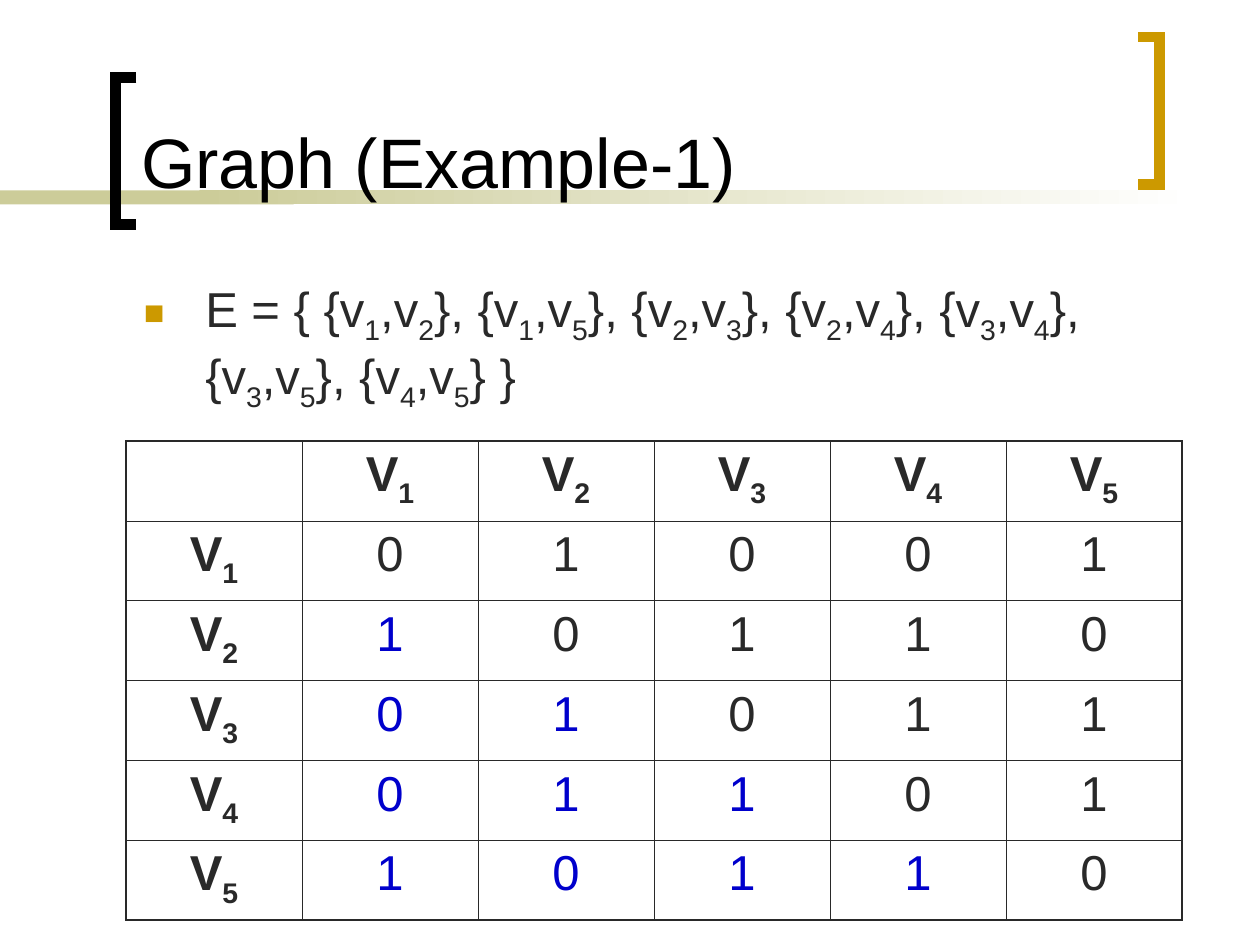
from itertools import groupby

from lxml.etree import SubElement
from pptx import Presentation
from pptx.dml.color import RGBColor
from pptx.enum.shapes import MSO_SHAPE
from pptx.enum.text import MSO_ANCHOR, MSO_AUTO_SIZE, PP_ALIGN
from pptx.oxml.ns import qn
from pptx.util import Cm, Pt

FONT = "Arial"
HUES = {
    "title": "000000",
    "text": "292929",
    "lower": "0000CC",
    "gold": "CC9900",
    "band": "CCCC99",
    "paper": "FFFFFF",
}
COUNT = 5
EDGES = [(1, 2), (1, 5), (2, 3), (2, 4), (3, 4), (3, 5), (4, 5)]
THIN, THICK = Pt(0.45), Pt(1.08)


def hue(name):
    return RGBColor.from_string(HUES[name])


def style(run, size=28, color="text", bold=False):
    font = run.font
    font.name, font.size, font.bold = FONT, Pt(size), bold
    font.color.rgb = hue(color)


def add_math(para, text, bold=False):
    """Write text with every digit as a subscript."""
    for low, chars in groupby(text, str.isdigit):
        run = para.add_run()
        run.text = "".join(chars)
        style(run, bold=bold)
        if low:
            run.font._element.set("baseline", "-25000")


def add_band(slide, left, top, width, height, fade=False):
    band = slide.shapes.add_shape(MSO_SHAPE.RECTANGLE, left, top, width, height)
    band.shadow.inherit = False
    band.line.fill.background()
    if fade:
        band.fill.gradient()
        band.fill.gradient_angle = 0
        for stop, name in zip(band.fill.gradient_stops, ("band", "paper")):
            stop.color.rgb = hue(name)
    else:
        band.fill.solid()
        band.fill.fore_color.rgb = hue("band")


def add_bracket(slide, left, top, width, height, color, opens):
    right, base = left + width, top + height
    tip, back = (right, left) if opens else (left, right)
    path = slide.shapes.build_freeform(tip, top, scale=1.0)
    path.add_line_segments([(back, top), (back, base), (tip, base)], close=False)
    mark = path.convert_to_shape()
    mark.shadow.inherit = False
    mark.fill.background()
    mark.line.width = Pt(6)
    mark.line.color.rgb = hue(color)
    SubElement(mark.line._ln, qn("a:miter"), lim="800000")


def add_title(slide, left, top, width, height):
    title = slide.shapes.title
    title.left, title.top, title.width, title.height = left, top, width, height
    frame = title.text_frame
    frame.text = "Graph (Example-1)"
    frame.auto_size = MSO_AUTO_SIZE.NONE
    frame.vertical_anchor = MSO_ANCHOR.BOTTOM
    para = frame.paragraphs[0]
    para.alignment = PP_ALIGN.LEFT
    style(para.runs[0], 40, "title")
    # The title stands in front of the band
    title.element.getparent().append(title.element)


def add_edges(slide, left, top, width, height):
    frame = slide.shapes.add_textbox(left, top, width, height).text_frame
    frame.word_wrap = True
    para = frame.paragraphs[0]
    para.space_before = Pt(7)
    pairs = ", ".join(f"{{v{a},v{b}}}" for a, b in EDGES)
    add_math(para, f"E = {{ {pairs} }}")

    # Square bullet with a hanging indent
    props = para._p.get_or_add_pPr()
    props.set("marL", str(Cm(1.24)))
    props.set("indent", str(Cm(-1.24)))
    tint = SubElement(props, qn("a:buClr"))
    SubElement(tint, qn("a:srgbClr"), val=HUES["gold"])
    SubElement(props, qn("a:buSzPct"), val="70000")
    SubElement(props, qn("a:buFont"), typeface=FONT)
    SubElement(props, qn("a:buChar"), char="■")


def add_borders(cell, row, col):
    props = cell._tc.get_or_add_tcPr()
    outer = {"L": col == 0, "R": col == COUNT, "T": row == 0, "B": row == COUNT}
    for side, edge in outer.items():
        line = SubElement(props, qn(f"a:ln{side}"), w=str(THICK if edge else THIN))
        fill = SubElement(line, qn("a:solidFill"))
        SubElement(fill, qn("a:srgbClr"), val=HUES["text"])


def add_matrix(slide, left, top, width, height):
    size = COUNT + 1
    table = slide.shapes.add_table(size, size, left, top, width, height).table
    table.first_row = table.horz_banding = False
    for line in table.columns:
        line.width = width // size
    for line in table.rows:
        line.height = height // size

    for row in range(size):
        for col in range(size):
            cell = table.cell(row, col)
            add_borders(cell, row, col)
            cell.fill.background()
            para = cell.text_frame.paragraphs[0]
            para.alignment = PP_ALIGN.CENTER
            para.space_before = Pt(7)
            if row and col:
                pair = min(row, col), max(row, col)
                para.text = str(int(pair in EDGES))
                style(para.runs[0], color="lower" if row > col else "text")
            elif row or col:
                add_math(para, f"V{row or col}", bold=True)


def main():
    deck = Presentation()
    deck.slide_width, deck.slide_height = Cm(25.4), Cm(19.05)
    slide = deck.slides.add_slide(deck.slide_layouts[5])

    # Band and brackets round the title
    add_band(slide, 0, Cm(3.84), Cm(5.92), Cm(0.28))
    add_band(slide, Cm(4.02), Cm(3.84), Cm(20.11), Cm(0.28), fade=True)
    add_bracket(slide, Cm(2.33), Cm(1.56), Cm(0.42), Cm(2.97), "title", True)
    add_bracket(slide, Cm(22.95), Cm(0.75), Cm(0.42), Cm(2.97), "gold", False)
    add_title(slide, Cm(2.59), Cm(0.28), Cm(19.9), Cm(3.93))

    # Edge set and adjacency matrix
    add_edges(slide, Cm(2.65), Cm(5.5), Cm(21.27), Cm(3.18))
    add_matrix(slide, Cm(2.54), Cm(8.89), Cm(21.29), Cm(9.66))

    deck.save("out.pptx")


if __name__ == "__main__":
    main()
